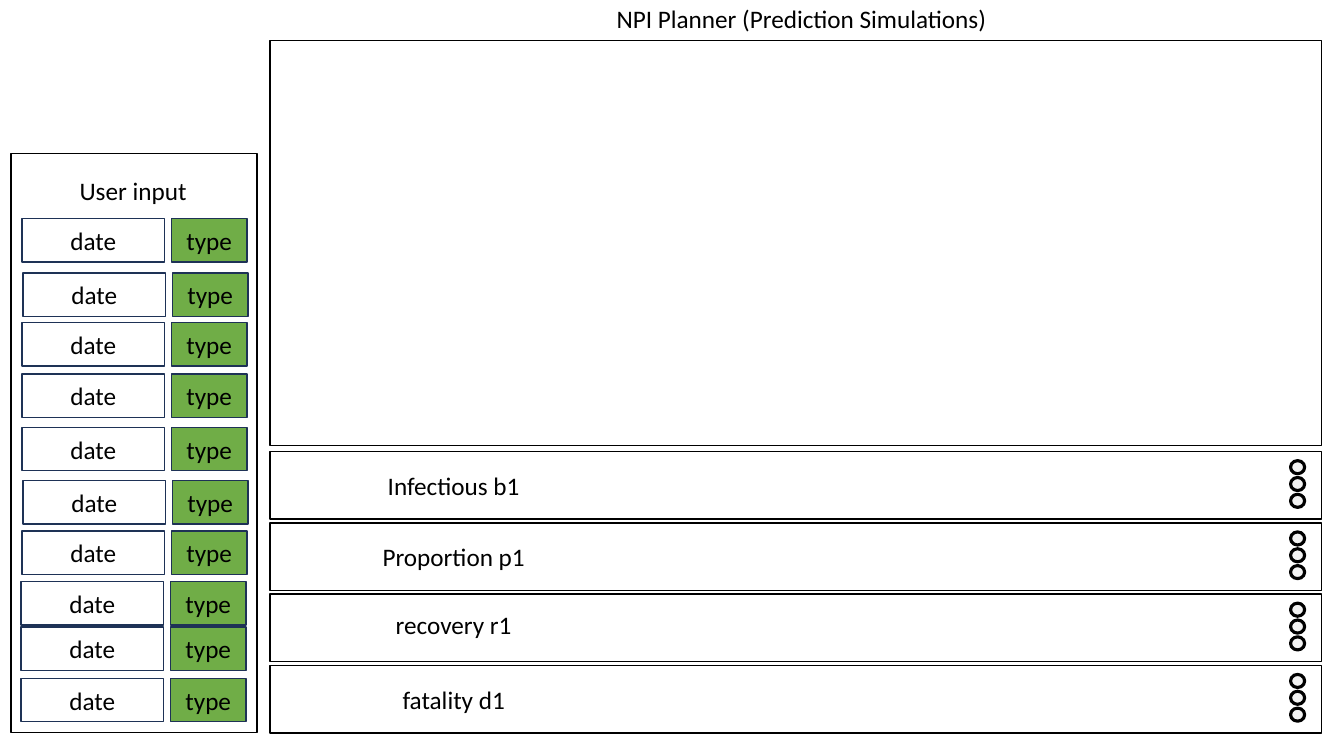
from collections import namedtuple

from pptx import Presentation
from pptx.dml.color import RGBColor
from pptx.enum.shapes import MSO_SHAPE as Shape
from pptx.enum.text import MSO_ANCHOR as Anchor, MSO_AUTO_SIZE as AutoSize, PP_ALIGN as Align
from pptx.util import Inches, Pt

COLORS = {
    "white": "FFFFFF",
    "black": "000000",
    "navy": "1E3256",
    "green": "70AD47",
    "grey": "F2F2F2",
}
Box = namedtuple("Box", "left top width height")

TITLE = Box(4.61, -0.04, 6.68, 0.45)
CHART_AREA = Box(2.68, 0.4, 10.43, 4.02)
INPUT_PANEL = Box(0.11, 1.52, 2.44, 5.75)
FIRST_PARAMETER = Box(2.68, 4.48, 10.43, 0.67)
PARAMETER_PITCH = 0.707
PARAMETERS = [
    ("Infectious b1", 0.14),
    ("Proportion p1", 0.13),
    ("recovery r1", 0.1),
    ("fatality d1", 0.14),
]
INPUT_ROWS = [
    (0.11, 0.65), (0.12, 1.19), (0.11, 1.68), (0.11, 2.19), (0.11, 2.72),
    (0.12, 3.25), (0.11, 3.75), (0.1, 4.25), (0.1, 4.7), (0.1, 5.21),
]


def color(name):
    return RGBColor.from_string(COLORS[name])


def place(shape, box):
    shape.left, shape.top, shape.width, shape.height = (Inches(length) for length in box)


def paint(shape, fill="white", line="black", weight=1):
    shape.fill.solid()
    shape.fill.fore_color.rgb = color(fill)
    shape.line.color.rgb = color(line)
    shape.line.width = Pt(weight)


def write(shape, text, size=18, font="Calibri", ink="black"):
    frame = shape.text_frame
    frame.word_wrap = True
    frame.auto_size = AutoSize.NONE
    frame.vertical_anchor = Anchor.MIDDLE
    para = frame.paragraphs[0]
    para.alignment = Align.CENTER
    span = para.add_run()
    span.text = text
    span.font.size = Pt(size)
    span.font.name = font
    span.font.color.rgb = color(ink)


def add_block(shapes, box, text="", kind=Shape.RECTANGLE, **look):
    block = shapes.add_shape(kind, *(Inches(length) for length in box))
    block.shadow.inherit = False
    paint(block, **look)
    if text:
        write(block, text)


def build_title(page, box):
    title = page.shapes.title
    place(title, box)
    paint(title, line="white")
    write(title, "NPI Planner (Prediction Simulations)")


def build_input_panel(page, box):
    shapes = page.shapes.add_group_shape().shapes
    add_block(shapes, box)
    heading = Box(box.left + 0.11, box.top + 0.07, 2.2, 0.59)
    add_block(shapes, heading, "User input", line="white")
    for indent, drop in INPUT_ROWS:
        date = Box(box.left + indent, box.top + drop, 1.41, 0.43)
        add_block(shapes, date, "date", line="navy")
        kind = date._replace(left=date.left + 1.48, width=0.75)
        add_block(shapes, kind, "type", fill="green", line="navy")


def build_parameter(page, box, label, drop):
    add_block(page.shapes, box)
    add_block(page.shapes, Box(box.left + 0.69, box.top + drop, 2.26, 0.4), label, line="white")
    menu = page.shapes.add_group_shape().shapes
    for index in range(3):
        dot = Box(box.left + box.width - 0.31, box.top + 0.09 + index * 0.167, 0.14, 0.13)
        add_block(menu, dot, kind=Shape.OVAL, fill="grey", weight=2.25)


def main():
    deck = Presentation()
    deck.slide_width, deck.slide_height = Inches(13.33), Inches(7.5)
    page = deck.slides.add_slide(deck.slide_layouts[5])
    build_title(page, TITLE)
    add_block(page.shapes, CHART_AREA)
    build_input_panel(page, INPUT_PANEL)
    for index, (label, drop) in enumerate(PARAMETERS):
        top = FIRST_PARAMETER.top + index * PARAMETER_PITCH
        build_parameter(page, FIRST_PARAMETER._replace(top=top), label, drop)
    deck.save("out.pptx")


if __name__ == "__main__":
    main()
